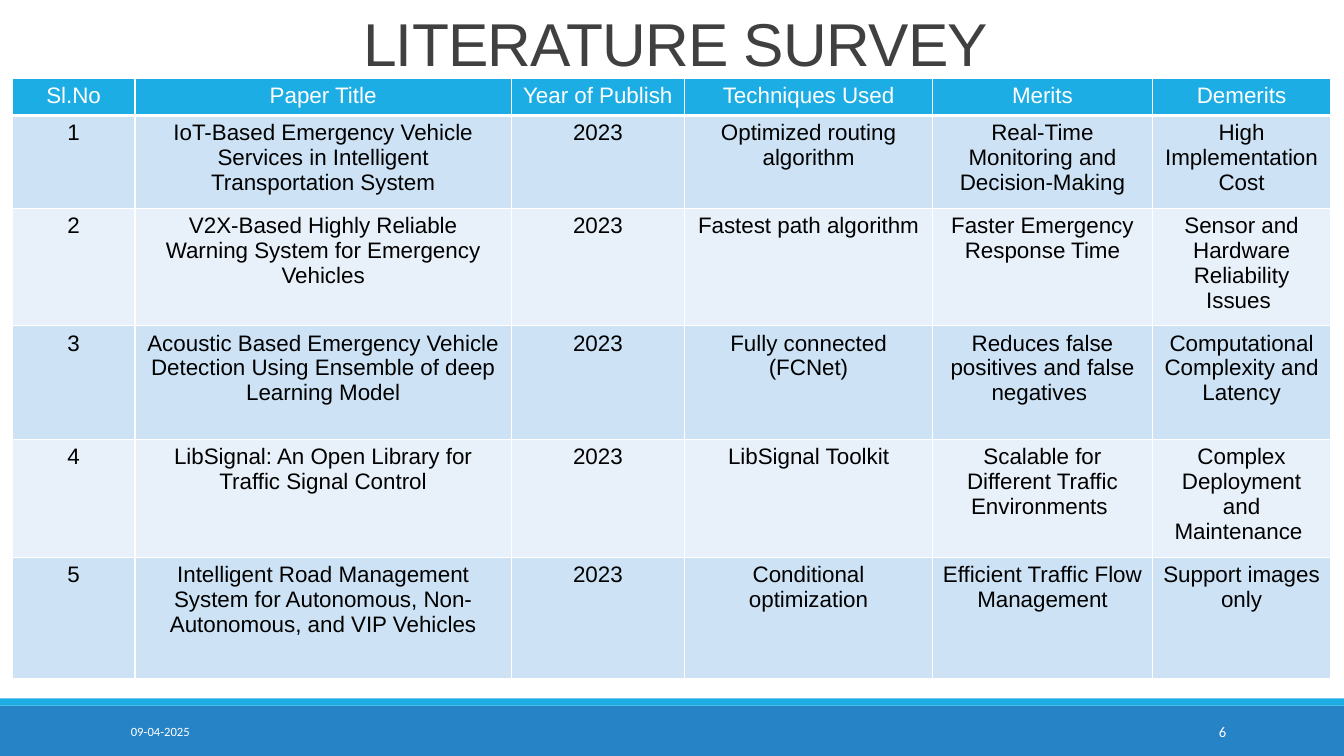
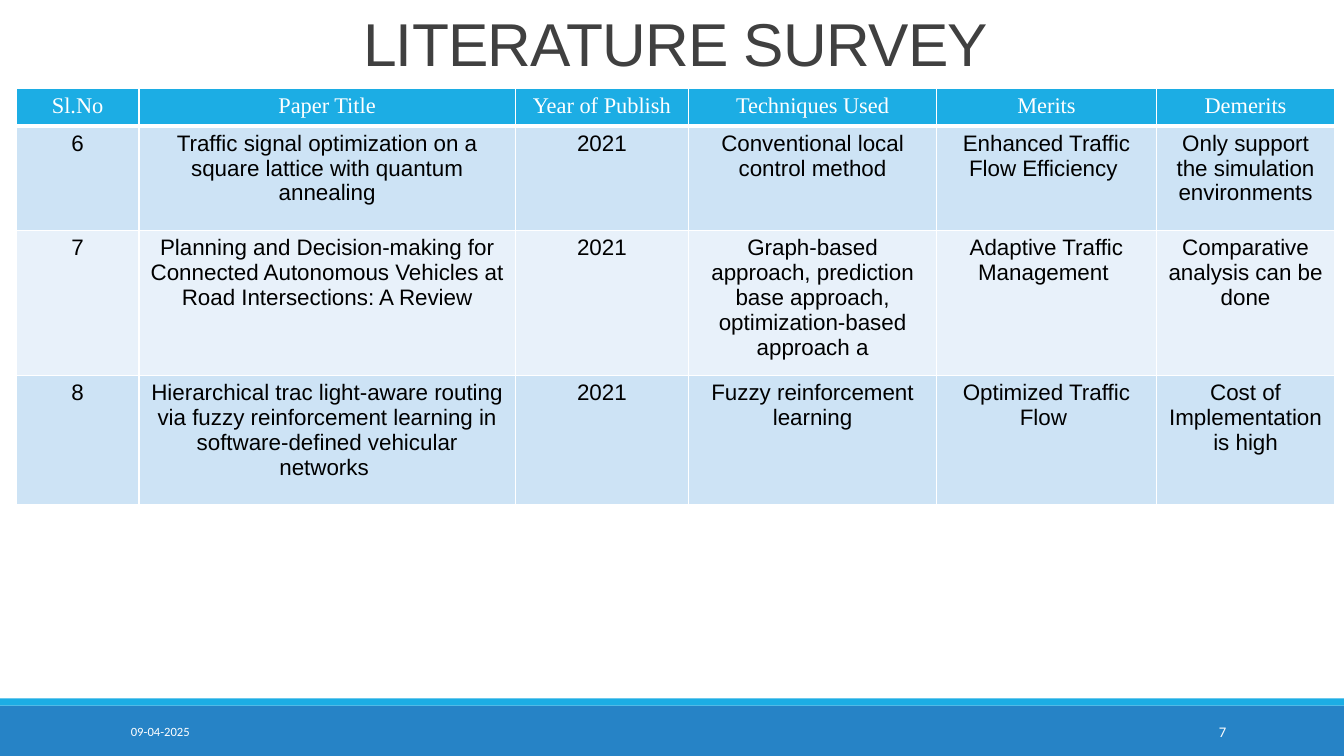
"""Builds the two literature survey slides, each a title over a table of papers."""
from dataclasses import dataclass

from lxml.etree import SubElement
from pptx import Presentation
from pptx.dml.color import RGBColor
from pptx.enum.shapes import MSO_SHAPE
from pptx.enum.text import MSO_ANCHOR, PP_ALIGN
from pptx.oxml import parse_xml
from pptx.oxml.ns import nsdecls, qn
from pptx.util import Inches, Pt


@dataclass(frozen=True)
class Theme:
    """Colours, fonts and type sizes of the deck."""
    blue: str = "2683C6"
    cyan: str = "1CADE4"
    bands: tuple = ("CDE3F5", "E8F1FA")
    white: str = "FFFFFF"
    black: str = "000000"
    title_grey: str = "404040"
    font: str = "Arial"
    footer_font: str = "Calibri"
    title_size: float = 43.2
    cell_size: float = 16
    date_size: float = 9
    number_size: float = 10.5


THEME = Theme()
WIDTH, HEIGHT = 13.33, 7.5
TITLE = "LITERATURE SURVEY"
DATE = "09-04-2025"
HEADER = ("Sl.No", "Paper Title", "Year of Publish", "Techniques Used", "Merits", "Demerits")
COLUMNS = (1.22, 3.73, 1.72, 2.46, 2.18, 1.77)
FOOTER_BANDS = ((7, 0.5, THEME.blue), (6.93, 0.07, THEME.cyan))

SURVEYS = [
    {
        "number": 6, "origin": (0.12, 0.78), "header_font": "Arial",
        "rows": (0.34, 0.92, 1.09, 1.13, 1.09, 1.2),
        "papers": [
            ("1", "IoT-Based Emergency Vehicle Services in Intelligent Transportation System", "2023",
             "Optimized routing algorithm", "Real-Time Monitoring and Decision-Making",
             "High Implementation Cost"),
            ("2", "V2X-Based Highly Reliable Warning System for Emergency Vehicles", "2023",
             "Fastest path algorithm", "Faster Emergency Response Time",
             "Sensor and Hardware Reliability Issues "),
            ("3", "Acoustic Based Emergency Vehicle Detection Using Ensemble of deep Learning Model",
             "2023", "Fully connected (FCNet)", "Reduces false positives and false negatives ",
             "Computational Complexity and Latency"),
            ("4", "LibSignal: An Open Library for Traffic Signal Control", "2023",
             "LibSignal Toolkit", "Scalable for Different Traffic Environments ",
             "Complex Deployment and Maintenance "),
            ("5", "Intelligent Road Management System for Autonomous, Non-Autonomous, and VIP Vehicles",
             "2023", "Conditional optimization", "Efficient Traffic Flow Management",
             "Support images only"),
        ],
    },
    {
        "number": 7, "origin": (0.16, 0.88), "header_font": "Times New Roman",
        "rows": (0.37, 1.04, 1.04, 1.28),
        "papers": [
            ("6", "Traffic signal optimization on a square lattice with quantum annealing", "2021",
             "Conventional local control method", "Enhanced Traffic Flow Efficiency ",
             "Only support the simulation environments"),
            ("7", "Planning and Decision-making for Connected Autonomous Vehicles at Road "
             "Intersections: A Review", "2021",
             "Graph-based approach, prediction base approach, optimization-based approach a",
             "Adaptive Traffic Management ", "Comparative analysis can be done"),
            ("8", "Hierarchical trac light-aware routing via fuzzy reinforcement learning in "
             "software-defined vehicular networks ", "2021",
             "Fuzzy reinforcement learning", "Optimized Traffic Flow ",
             "Cost of Implementation is high"),
        ],
    },
]


def rgb(colour):
    return RGBColor.from_string(colour)


def write(frame, text, size, colour, font, align):
    paragraph = frame.paragraphs[0]
    paragraph.alignment = align
    run = paragraph.add_run()
    run.text = text
    run.font.size = Pt(size)
    run.font.name = font
    run.font.bold = False
    run.font.color.rgb = rgb(colour)
    return paragraph, run


def add_bands(slide):
    """Draws the footer bands and hands them to the slide's layout."""
    layout_tree = slide.slide_layout.shapes.element
    for top, height, colour in FOOTER_BANDS:
        band = slide.shapes.add_shape(MSO_SHAPE.RECTANGLE, 0, Inches(top),
                                      Inches(WIDTH), Inches(height))
        band.shadow.inherit = False
        band.fill.solid()
        band.fill.fore_color.rgb = rgb(colour)
        band.line.fill.background()
        layout_tree.append(band.element)


def add_title(slide):
    title = slide.shapes.title
    title.left, title.top, title.width, title.height = map(Inches, (1.2, 0.1, 11, 0.68))
    frame = title.text_frame
    frame.margin_top = frame.margin_bottom = 0
    frame.vertical_anchor = MSO_ANCHOR.BOTTOM
    paragraph, run = write(frame, TITLE, THEME.title_size, THEME.title_grey, THEME.font,
                           PP_ALIGN.CENTER)
    paragraph.line_spacing = 0.85
    run.font._element.set("spc", "-50")


def add_footer(slide, number):
    for left, width, text, size, align in (
            (1.2, 2.7, DATE, THEME.date_size, PP_ALIGN.LEFT),
            (10.83, 1.43, str(number), THEME.number_size, PP_ALIGN.RIGHT)):
        frame = slide.shapes.add_textbox(*map(Inches, (left, 7.06, width, 0.4))).text_frame
        frame.word_wrap = True
        frame.vertical_anchor = MSO_ANCHOR.MIDDLE
        write(frame, text, size, THEME.white, THEME.footer_font, align)


def set_borders(cell, top, bottom):
    properties = cell._tc.get_or_add_tcPr()
    for place, (side, points) in enumerate((("L", 1), ("R", 1), ("T", top), ("B", bottom))):
        border = parse_xml(f'<a:ln{side} {nsdecls("a")} w="{Pt(points)}"/>')
        colour = SubElement(SubElement(border, qn("a:solidFill")), qn("a:srgbClr"))
        colour.set("val", THEME.white)
        properties.insert(place, border)


def add_survey(slide, survey):
    records = [HEADER, *survey["papers"]]
    left, top = survey["origin"]
    table = slide.shapes.add_table(
        len(records), len(COLUMNS),
        *map(Inches, (left, top, sum(COLUMNS), sum(survey["rows"])))).table
    for column, width in zip(table.columns, COLUMNS):
        column.width = Inches(width)
    for index, (record, height) in enumerate(zip(records, survey["rows"])):
        table.rows[index].height = Inches(height)
        if index == 0:
            fill, colour, font = THEME.cyan, THEME.white, survey["header_font"]
        else:
            fill, colour, font = THEME.bands[(index - 1) % 2], THEME.black, THEME.font
        for cell, text in zip(table.rows[index].cells, record):
            cell.fill.solid()
            cell.fill.fore_color.rgb = rgb(fill)
            set_borders(cell, 3 if index == 1 else 1, 3 if index == 0 else 1)
            write(cell.text_frame, text, THEME.cell_size, colour, font, PP_ALIGN.CENTER)


def main():
    deck = Presentation()
    deck.slide_width, deck.slide_height = Inches(WIDTH), Inches(HEIGHT)
    title_only = deck.slide_layouts[5]
    for position, survey in enumerate(SURVEYS):
        slide = deck.slides.add_slide(title_only)
        if position == 0:
            add_bands(slide)
        add_title(slide)
        add_footer(slide, survey["number"])
        add_survey(slide, survey)
    deck.save("out.pptx")


if __name__ == "__main__":
    main()
